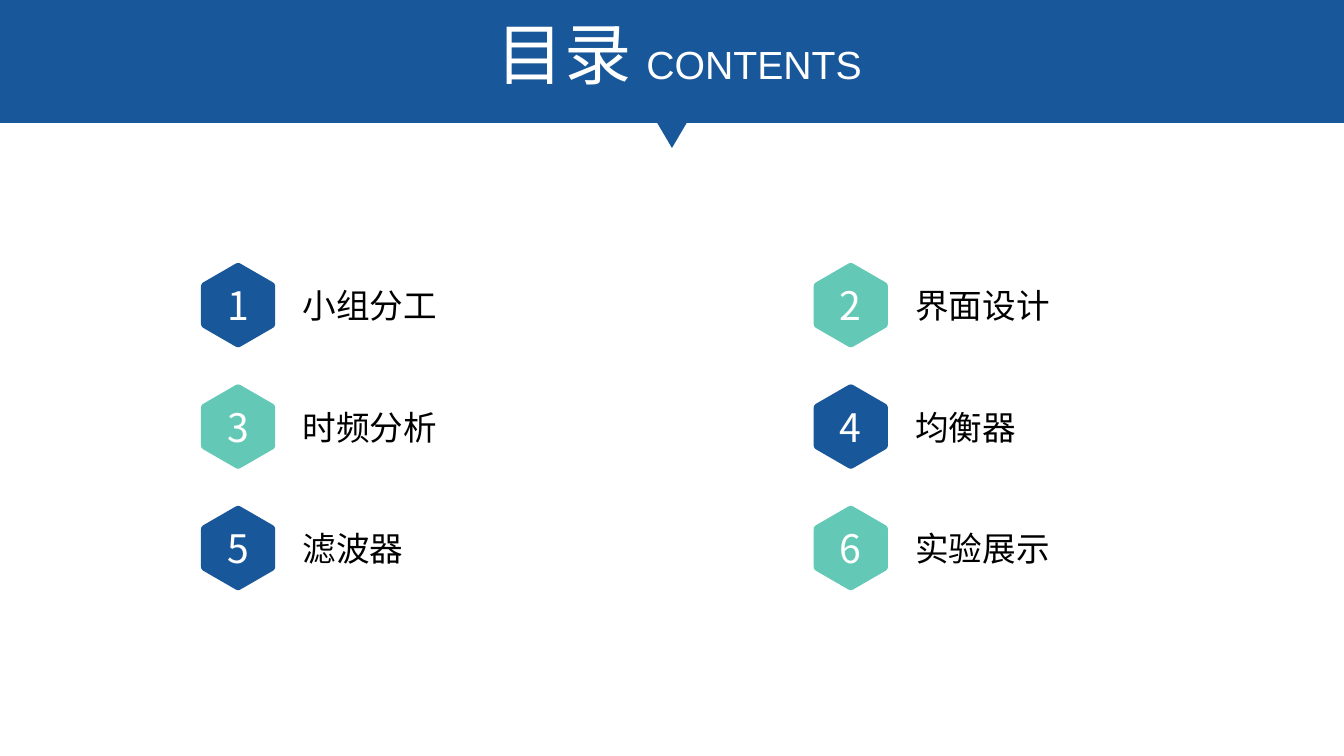
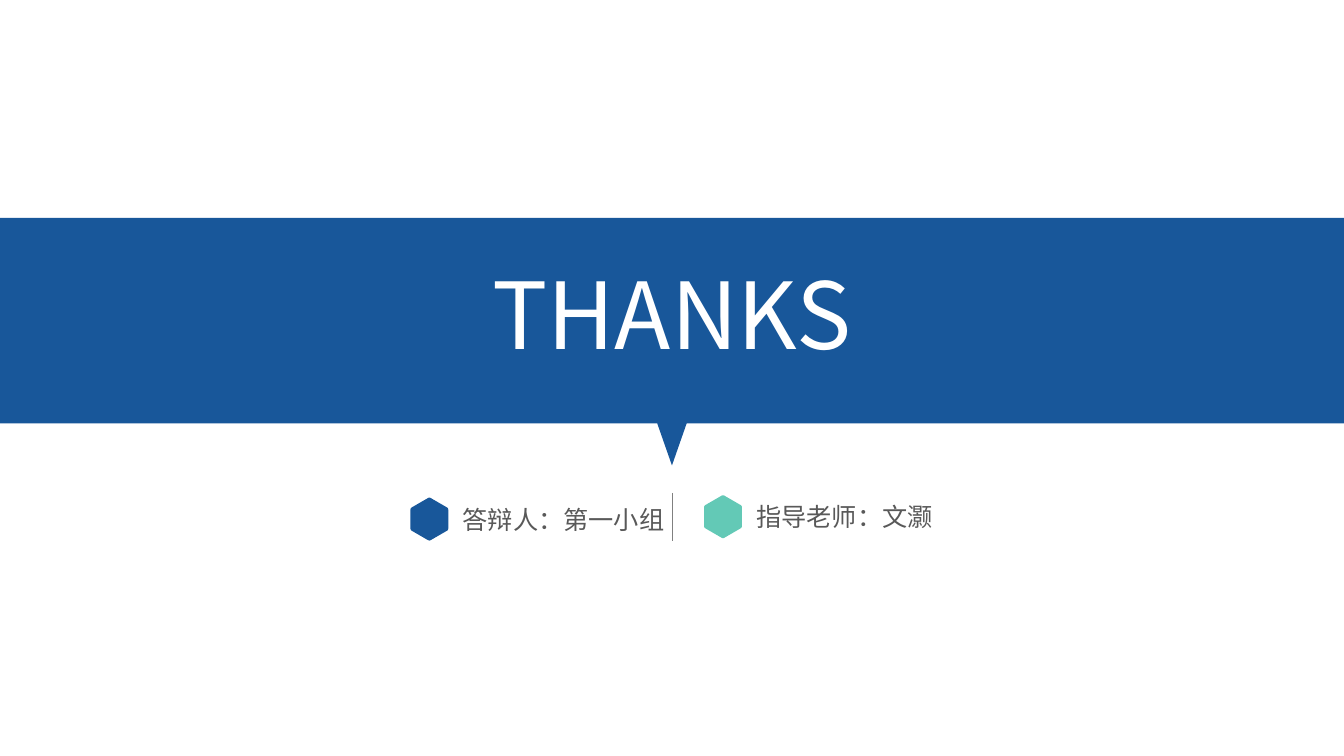
from math import cos, sin, pi
from pptx import Presentation
from pptx.dml.color import RGBColor as Rgb
from pptx.enum.shapes import MSO_CONNECTOR as Link
from pptx.enum.text import MSO_ANCHOR as Anchor, MSO_AUTO_SIZE as Fit, PP_ALIGN as Align
from pptx.oxml.ns import qn
from pptx.util import Cm, Pt
from lxml.etree import SubElement as Sub

HUES = {"blue": "18579A", "mint": "63C9B6", "white": "FFFFFF",
        "black": "000000", "gray": "595959", "rule": "808080"}
WIDE, HIGH = 33.87, 19.05
SANS, LATIN = "Noto Sans CJK SC", "Arial"


def hue(name):
    return Rgb.from_string(HUES[name])


def add_run(para, text, size, tone, face=SANS):
    run = para.add_run()
    run.text = text
    font = run.font
    font.size, font.name = Pt(size), face
    font.color.rgb = hue(tone)
    Sub(font._element, qn("a:ea")).set("typeface", SANS)


def outline(slide, points, tone):
    dots = [(Cm(x), Cm(y)) for x, y in points]
    pen = slide.shapes.build_freeform(*dots[0], scale=1.0)
    pen.add_line_segments(dots[1:], close=True)
    shape = pen.convert_to_shape()
    shape.shadow.inherit = False
    shape.fill.solid()
    shape.fill.fore_color.rgb = hue(tone)
    shape.line.fill.background()
    return shape


def add_band(slide, top, base, tip):
    mid, half = WIDE / 2, 0.37
    points = [(0, top), (WIDE, top), (WIDE, base), (mid + half, base),
              (mid, tip), (mid - half, base), (0, base)]
    band = outline(slide, points, "blue")
    slide.shapes._spTree.insert(2, band._element)


def set_title(slide, box, runs):
    title = slide.shapes.title
    title.left, title.top, title.width, title.height = map(Cm, box)
    frame = title.text_frame
    frame.auto_size, frame.word_wrap = Fit.NONE, True
    frame.vertical_anchor = Anchor.TOP
    para = frame.paragraphs[0]
    para.alignment, para.line_spacing = Align.CENTER, 0.9
    for text, size, face in runs:
        add_run(para, text, size, "white", face)


def add_hex(slide, x, y, size, tone):
    ends = [(x + size * sin(k * pi / 3), y - size * cos(k * pi / 3)) for k in range(6)]
    points = []
    for k, (cx, cy) in enumerate(ends):
        (px, py), (nx, ny) = ends[k - 1], ends[(k + 1) % 6]
        for t in (0, 0.25, 0.5, 0.75, 1):
            a, b = 0.07 * (1 - t) ** 2, 0.07 * t ** 2
            points.append((cx + a * (px - cx) + b * (nx - cx),
                           cy + a * (py - cy) + b * (ny - cy)))
    return outline(slide, points, tone)


def add_label(slide, x, y, wide, high, text, size, tone):
    box = slide.shapes.add_textbox(Cm(x), Cm(y - high / 2), Cm(wide), Cm(high))
    frame = box.text_frame
    frame.word_wrap, frame.vertical_anchor = True, Anchor.MIDDLE
    add_run(frame.paragraphs[0], text, size, tone)


def add_topic(slide, x, y, mark, text, tone):
    frame = add_hex(slide, x, y, 1.08, tone).text_frame
    frame.margin_left = frame.margin_right = 0
    frame.margin_top = frame.margin_bottom = 0
    frame.vertical_anchor = Anchor.MIDDLE
    para = frame.paragraphs[0]
    para.alignment = Align.CENTER
    add_run(para, mark, 28, "white")
    add_label(slide, x + 1.38, y, 7.16, 1.27, text, 24, "black")


def add_name(slide, x, y, text, tone):
    add_hex(slide, x, y, 0.55, tone)
    add_label(slide, x + 0.59, y, 5.61, 1.02, text, 18, "gray")


def add_rule(slide, x, top, base):
    line = slide.shapes.add_connector(Link.STRAIGHT, Cm(x), Cm(top), Cm(x), Cm(base))
    line.line.color.rgb = hue("rule")
    line.line.width = Pt(0.5)
    Sub(line._element.spPr, qn("a:effectLst"))


def contents(slide):
    add_band(slide, 0, 3.1, 3.73)
    set_title(slide, (6.4, 0.41, 21.06, 2.31),
              [(" 目录 ", 48, LATIN), ("CONTENTS", 28, LATIN)])
    topics = ["小组分工", "界面设计", "时频分析", "均衡器", "滤波器", "实验展示"]
    for k, text in enumerate(topics):
        row, col = divmod(k, 2)
        tone = ("blue", "mint")[(row + col) % 2]
        add_topic(slide, 6 + col * 15.44, 7.69 + row * 3.06, str(k + 1), text, tone)


def thanks(slide):
    add_band(slide, 5.49, 10.67, 11.73)
    set_title(slide, (0, 6.68, WIDE, 3.07), [("THANKS", 66, SANS)])
    add_name(slide, 10.82, 13.08, "答辩人：第一小组", "blue")
    add_name(slide, 18.22, 13.02, "指导老师：文灏", "mint")
    add_rule(slide, WIDE / 2, 12.42, 13.64)


def main():
    deck = Presentation()
    deck.slide_width, deck.slide_height = Cm(WIDE), Cm(HIGH)
    for fill in (contents, thanks):
        fill(deck.slides.add_slide(deck.slide_layouts[5]))
    deck.save("out.pptx")


if __name__ == "__main__":
    main()
